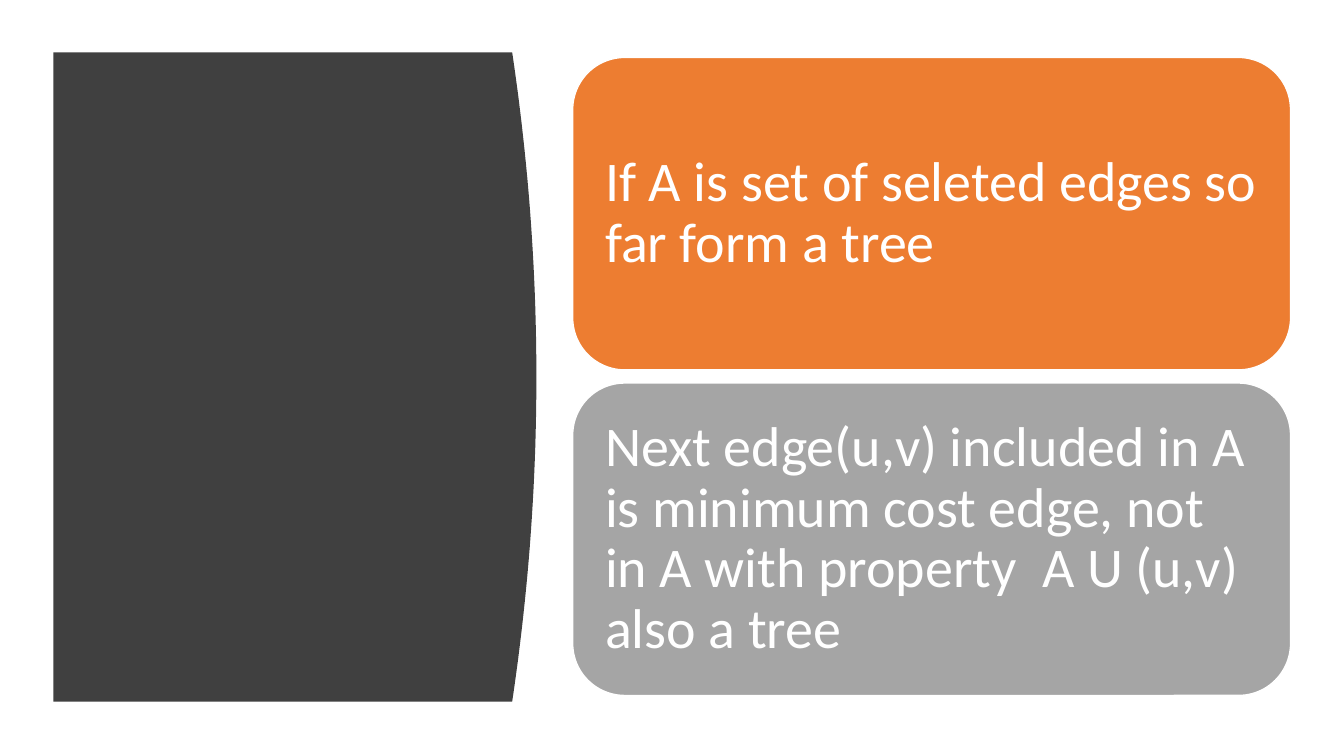
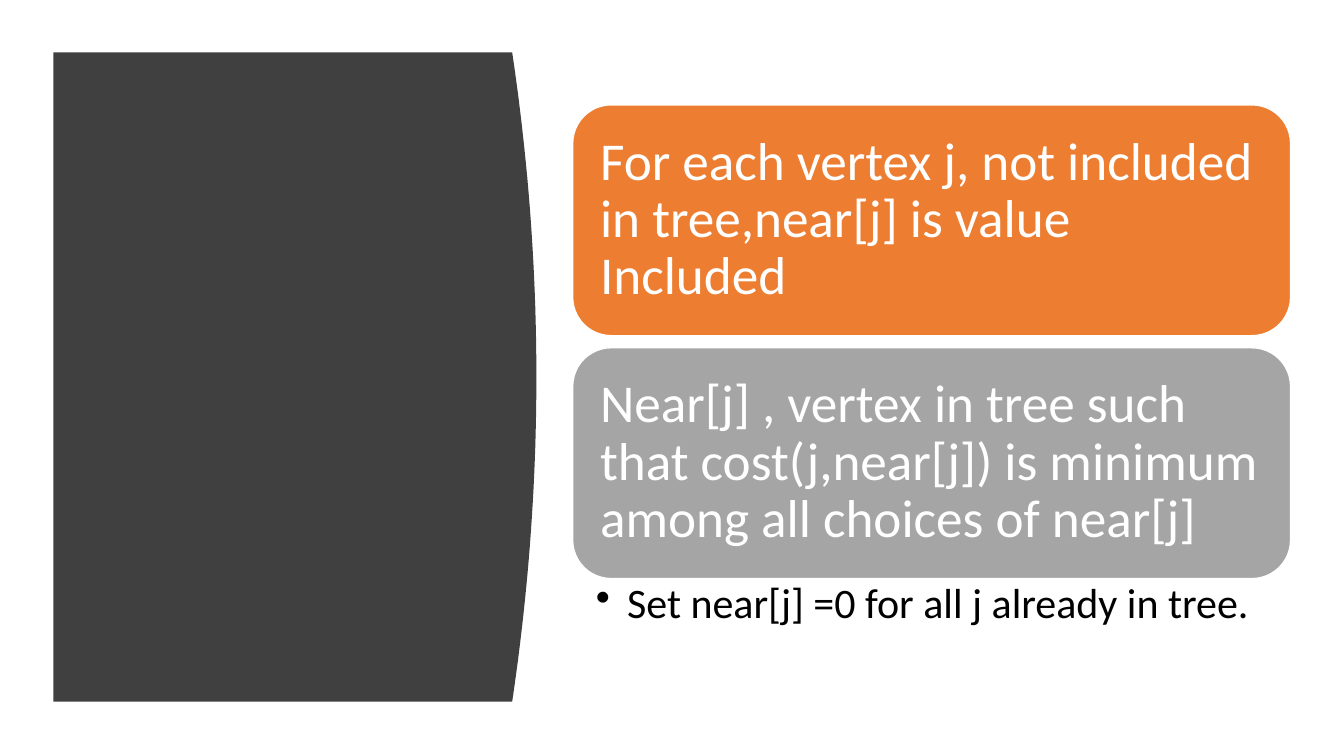
import pptx
import pptx.util
import pptx.dml.color
import pptx.enum.shapes
import pptx.enum.text
import pptx.oxml.ns
import lxml.etree

SCALE = 9144
COLORS = {
    "panel": "404040",
    "orange": "ED7D31",
    "gray": "A5A5A5",
    "white": "FFFFFF",
    "black": "000000",
}
FONT = "Calibri"

PANEL_LEFT, PANEL_TOP, PANEL_BOTTOM = 53, 52, 696
PANEL_CORNER, PANEL_BULGE, CURVE_STEPS = 508, 24, 46
CARD_LEFT, CARD_WIDTH = 568, 712
CARD_FILLS = ["orange", "gray"]

PAGES = [
    {
        "top": 57, "height": 310, "pitch": 323, "inset": 17, "size": 40,
        "cards": [
            "If A is set of seleted edges so far form a tree",
            "Next edge(u,v) included in A is minimum cost edge, not in A with property  A U (u,v) also a tree",
        ],
        "bullets": [],
    },
    {
        "top": 104, "height": 229, "pitch": 241, "inset": 16, "size": 38,
        "cards": [
            "For each vertex j, not included in tree,near[j] is value Included",
            "Near[j] , vertex in tree such that cost(j,near[j]) is minimum among all choices of near[j]",
        ],
        "bullets": ["Set near[j] =0 for all j already in tree."],
    },
]


def px(length):
    return pptx.util.Emu(round(length * SCALE))


def write(box, text, size, color, insets, anchor):
    frame = box.text_frame
    frame.word_wrap = True
    frame.vertical_anchor = anchor
    frame.margin_left, frame.margin_top, frame.margin_right, frame.margin_bottom = map(px, insets)
    para = frame.paragraphs[0]
    para.text = text
    para.alignment = pptx.enum.text.PP_ALIGN.LEFT
    para.line_spacing = 0.9
    para.font.name = FONT
    para.font.size = pptx.util.Pt(size)
    para.font.color.rgb = pptx.dml.color.RGBColor.from_string(COLORS[color])


deck = pptx.Presentation()
deck.slide_width = px(1333)
deck.slide_height = px(750)

half = (PANEL_BOTTOM - PANEL_TOP) / 2
curve = []
for step in range(CURVE_STEPS + 1):
    offset = 2 * step / CURVE_STEPS - 1
    curve.append((px(PANEL_CORNER + PANEL_BULGE * (1 - offset ** 2)),
                  px(PANEL_TOP + half * (1 + offset))))

for content in PAGES:
    page = deck.slides.add_slide(deck.slide_layouts[6])

    outline = page.shapes.build_freeform(px(PANEL_LEFT), px(PANEL_TOP))
    outline.add_line_segments(curve + [(px(PANEL_LEFT), px(PANEL_BOTTOM))], close=True)
    panel = outline.convert_to_shape()
    panel.shadow.inherit = False
    panel.fill.solid()
    panel.fill.fore_color.rgb = pptx.dml.color.RGBColor.from_string(COLORS["panel"])
    panel.line.fill.background()

    for index, (text, fill) in enumerate(zip(content["cards"], CARD_FILLS)):
        card = page.shapes.add_shape(
            pptx.enum.shapes.MSO_SHAPE.ROUNDED_RECTANGLE,
            px(CARD_LEFT), px(content["top"] + index * content["pitch"]),
            px(CARD_WIDTH), px(content["height"]))
        card.shadow.inherit = False
        card.fill.solid()
        card.fill.fore_color.rgb = pptx.dml.color.RGBColor.from_string(COLORS[fill])
        card.line.color.rgb = pptx.dml.color.RGBColor.from_string(COLORS["white"])
        card.line.width = pptx.util.Pt(1)
        write(card, text, content["size"], "white", [content["inset"]] * 4,
              pptx.enum.text.MSO_ANCHOR.MIDDLE)

    for text in content["bullets"]:
        box = page.shapes.add_textbox(px(CARD_LEFT), px(573), px(CARD_WIDTH), px(69))
        properties = box.text_frame.paragraphs[0]._p.get_or_add_pPr()
        properties.set("marL", str(px(31)))
        properties.set("indent", str(px(-31)))
        bullet = lxml.etree.SubElement(properties, pptx.oxml.ns.qn("a:buChar"))
        bullet.set("char", "•")
        write(box, text, 30, "black", [23, 5, 30, 5], pptx.enum.text.MSO_ANCHOR.TOP)

deck.save("out.pptx")
